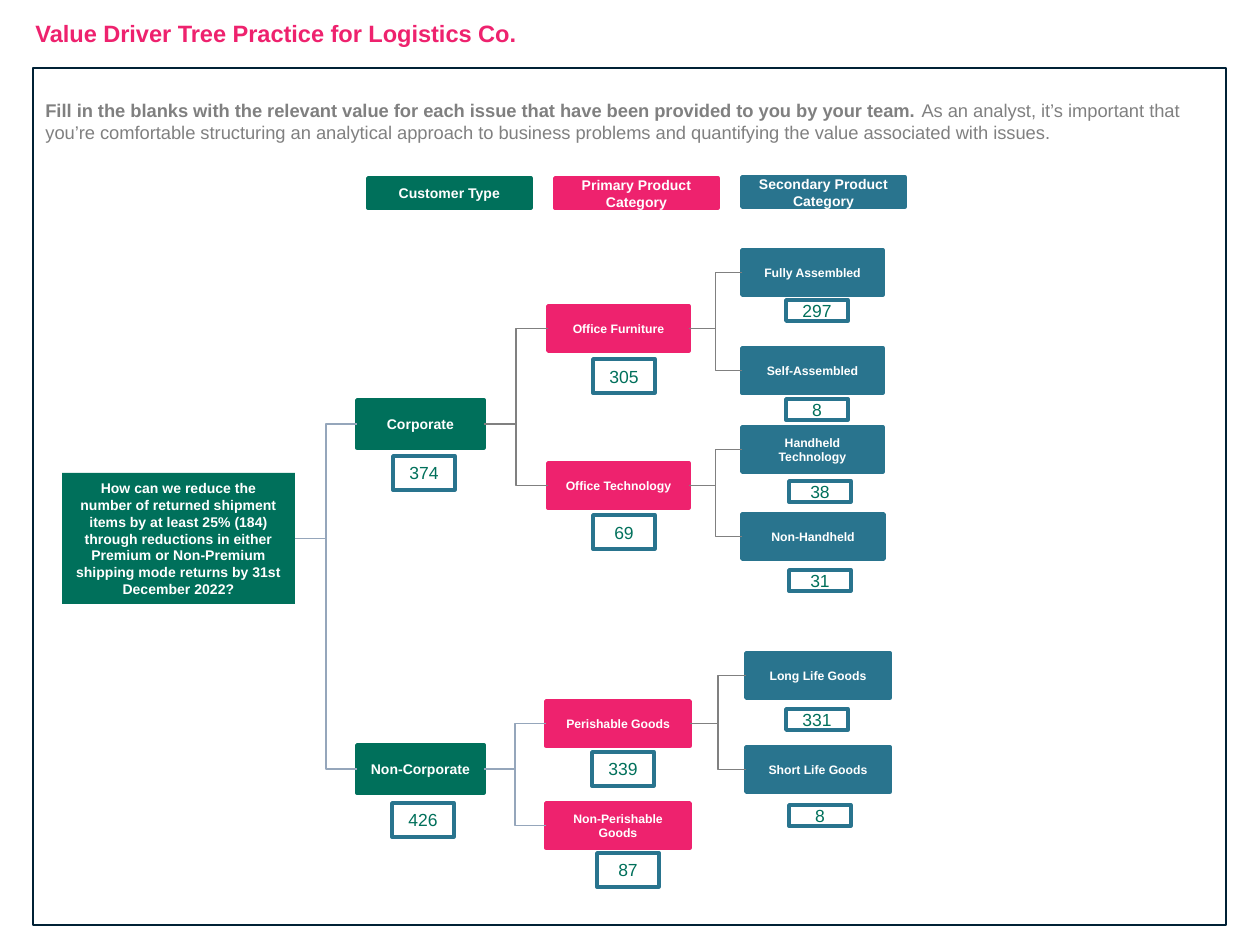
from dataclasses import dataclass
from typing import Optional

from lxml.etree import SubElement
from pptx import Presentation
from pptx.dml.color import RGBColor
from pptx.enum.shapes import MSO_CONNECTOR as Conn, MSO_SHAPE as Shape
from pptx.enum.text import MSO_ANCHOR as Anchor, PP_ALIGN as Align
from pptx.oxml.ns import qn
from pptx.util import Emu, Pt

W, H = 1260, 945
SCALE = 9144000 / W
VALUE_W = 62
RIGHT_SITE, LEFT_SITE = 3, 1
COLORS = {
    "green": "00705B", "pink": "EE226E", "blue": "29748E", "navy": "002135",
    "gray": "808080", "steel": "95A6BB", "white": "FFFFFF",
}


@dataclass(frozen=True)
class Level:
    color: str
    height: int
    size: int
    value_h: int


@dataclass(frozen=True)
class Node:
    text: str
    level: Level
    x: int
    y: int
    w: int
    value: str
    value_x: int
    value_y: int
    parent: str
    link: str = "gray"


CUSTOMER = Level("green", 48, 8, 34)
PRIMARY = Level("pink", 45, 7, 34)
SECONDARY = Level("blue", 45, 7, 21)

QUESTION = ("How can we reduce the number of returned shipment items by at least 25% (184) "
            "through reductions in either Premium or Non-Premium shipping mode returns "
            "by 31st December 2022?")
INTRO = (
    ("Fill in the blanks with the relevant value for each issue that have been "
     "provided to you by your team. ", True),
    ("As an analyst, it’s important that you’re comfortable structuring an analytical "
     "approach to business problems and quantifying the value associated with issues.", False),
)
HEADERS = (
    ("Customer Type", "green", 368, 178),
    ("Primary Product Category", "pink", 555, 178),
    ("Secondary Product Category", "blue", 742, 177),
)
NODES = (
    Node("Corporate", CUSTOMER, 357, 400, 127, "374", 393, 456, QUESTION, "steel"),
    Node("Non-Corporate", CUSTOMER, 357, 745, 127, "426", 392, 803, QUESTION, "steel"),
    Node("Office Furniture", PRIMARY, 548, 306, 141, "305", 593, 359, "Corporate"),
    Node("Office Technology", PRIMARY, 548, 463, 141, "69", 593, 515, "Corporate"),
    Node("Perishable Goods", PRIMARY, 546, 701, 144, "339", 592, 752, "Non-Corporate", "steel"),
    Node("Non-Perishable Goods", PRIMARY, 546, 803, 144, "87", 597, 853, "Non-Corporate", "steel"),
    Node("Fully Assembled", SECONDARY, 742, 250, 141, "297", 786, 300, "Office Furniture"),
    Node("Self-Assembled", SECONDARY, 742, 348, 141, "8", 786, 399, "Office Furniture"),
    Node("Handheld Technology", SECONDARY, 742, 427, 141, "38", 789, 481, "Office Technology"),
    Node("Non-Handheld", SECONDARY, 742, 514, 142, "31", 789, 570, "Office Technology"),
    Node("Long Life Goods", SECONDARY, 746, 653, 144, "331", 786, 709, "Perishable Goods"),
    Node("Short Life Goods", SECONDARY, 746, 747, 144, "8", 789, 805, "Perishable Goods"),
)


def px(n: int) -> Emu:
    return Emu(round(n * SCALE))


def rgb(name: str) -> RGBColor:
    return RGBColor.from_string(COLORS[name])


def add_run(p, text: str, color: str, size: float, bold: bool) -> None:
    r = p.add_run()
    r.text = text
    for key, value in {"name": "Arial", "size": Pt(size), "bold": bold}.items():
        setattr(r.font, key, value)
    r.font.color.rgb = rgb(color)


def add_box(s, x: int, y: int, w: int, h: int, fill: Optional[str] = None,
            line: Optional[str] = None, width: float = 2, text: str = "",
            color: str = "white", size: float = 8, bold: bool = True):
    sp = s.shapes.add_shape(Shape.RECTANGLE, *map(px, (x, y, w, h)))
    sp.shadow.inherit = False
    if fill:
        sp.fill.solid()
        sp.fill.fore_color.rgb = rgb(fill)
    else:
        sp.fill.background()
    if line:
        sp.line.color.rgb = rgb(line)
        sp.line.width = Pt(width)
    else:
        sp.line.fill.background()
    if text:
        tf = sp.text_frame
        for key, value in {"word_wrap": True, "vertical_anchor": Anchor.MIDDLE}.items():
            setattr(tf, key, value)
        p = tf.paragraphs[0]
        p.alignment = Align.CENTER
        add_run(p, text, color, size, bold)
    return sp


def add_text(s, x: int, y: int, w: int, h: int, runs, color: str, size: float,
             top: int = 6) -> None:
    tf = s.shapes.add_textbox(*map(px, (x, y, w, h))).text_frame
    for key, value in {"word_wrap": True, "margin_top": px(top)}.items():
        setattr(tf, key, value)
    for text, bold in runs:
        add_run(tf.paragraphs[0], text, color, size, bold)


def add_link(s, parent, child, color: str) -> None:
    """Join the right side of parent to the left side of child with an elbow."""
    c = s.shapes.add_connector(Conn.ELBOW, 0, 0, 0, 0)
    c.begin_connect(parent, RIGHT_SITE)
    c.end_connect(child, LEFT_SITE)
    c.line.color.rgb = rgb(color)
    c.line.width = Pt(0.75)
    SubElement(c._element.spPr, qn("a:effectLst"))


def main() -> None:
    prs = Presentation()
    prs.slide_width, prs.slide_height = px(W), px(H)
    s = prs.slides.add_slide(prs.slide_layouts[6])

    add_box(s, 33, 68, 1193, 857, line="navy", width=1.5)
    add_text(s, 23, 13, 634, 42, [("Value Driver Tree Practice for Logistics Co.", True)],
             "pink", 13.5)
    add_text(s, 33, 69, 1176, 102, INTRO, "gray", 10.5, top=30)
    for text, color, x, y in HEADERS:
        add_box(s, x, y, 163, 30, color, color, text=text)

    boxes = {QUESTION: add_box(s, 62, 473, 233, 131, "green", text=QUESTION)}
    for n in NODES:
        lv = n.level
        boxes[n.text] = add_box(s, n.x, n.y, n.w, lv.height, lv.color, lv.color,
                                text=n.text, size=lv.size)
        add_link(s, boxes[n.parent], boxes[n.text], n.link)
        add_box(s, n.value_x, n.value_y, VALUE_W, lv.value_h, line="blue",
                text=n.value, color="green", size=10, bold=False)

    prs.save("out.pptx")


if __name__ == "__main__":
    main()
